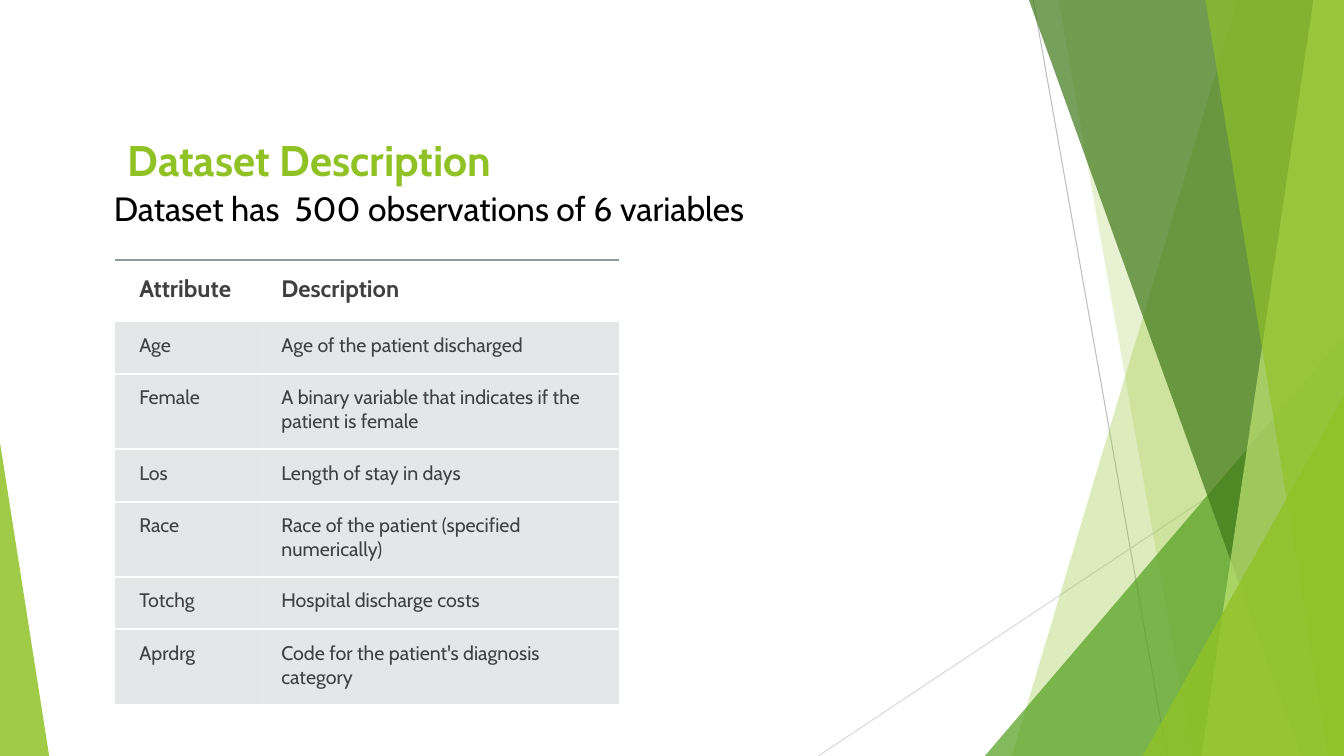
from dataclasses import dataclass

from lxml import etree
from pptx import Presentation
from pptx.dml.color import RGBColor
from pptx.enum.shapes import MSO_CONNECTOR, MSO_SHAPE
from pptx.enum.text import MSO_ANCHOR, PP_ALIGN
from pptx.oxml.ns import qn
from pptx.util import Cm, Pt

STRAIGHT = MSO_CONNECTOR.STRAIGHT
TRIANGLE = MSO_SHAPE.ISOSCELES_TRIANGLE
TOP, BOTTOM = MSO_ANCHOR.TOP, MSO_ANCHOR.BOTTOM
LEFT, CENTER = PP_ALIGN.LEFT, PP_ALIGN.CENTER

WIDTH, HEIGHT = 33.87, 19.05
FONT = "Cabin"
GREEN = "90C226"
WHITE = "FFFFFF"
TEXT_GREY = "404040"
ROW_GREY = "B4BCBE"
RULE_GREY = "8F9A9D"


@dataclass
class Ray:
    x1: float
    y1: float
    x2: float
    y2: float
    color: str


@dataclass
class Band:
    top_x: float
    bottom_x: float
    color: str
    opacity: int


@dataclass
class Wedge:
    left: float
    top: float
    width: float
    apex: float
    color: str
    opacity: int


RAYS = [
    Ray(26.04, 0, 29.41, HEIGHT, "BFBFBF"),
    Ray(WIDTH, 10.24, 20.62, HEIGHT, "D9D9D9"),
]
FACETS = [
    Band(31.19, 25.5, GREEN, 30),
    Band(26.67, 30.05, GREEN, 20),
    Wedge(24.82, 8.46, 9.05, 1, "54A021", 72),
    Band(25.93, 32.79, "3F7819", 70),
    Band(33.1, 30.28, "C0E474", 70),
    Band(30.38, 33.48, GREEN, 65),
    Wedge(28.8, 9.98, 5.07, 1, GREEN, 80),
    Wedge(0, 11.15, 1.24, 0, GREEN, 85),
]
ATTRIBUTES = [
    ("Attribute", "Description"),
    ("Age", "Age of the patient discharged"),
    ("Female", "A binary variable that indicates if the patient is female"),
    ("Los", "Length of stay in days"),
    ("Race", "Race of the patient (specified numerically)"),
    ("Totchg", "Hospital discharge costs"),
    ("Aprdrg", "Code for the patient's diagnosis category"),
]
COLUMN_WIDTHS = [3.58, 9.12]
ROW_HEIGHTS = [1.55] + [1.32, 1.9] * 3


def rgb(color: str) -> RGBColor:
    return RGBColor.from_string(color)


def set_opacity(element, percent: int) -> None:
    shade = next(element.iter(qn("a:srgbClr")))
    etree.SubElement(shade, qn("a:alpha"), val=str(percent * 1000))


def write(frame, text: str, *, size: float, color: str, bold: bool = False,
          align=LEFT) -> None:
    frame.word_wrap = True
    paragraph = frame.paragraphs[0]
    paragraph.alignment = align
    run = paragraph.add_run()
    run.text = text
    run.font.name = FONT
    run.font.size = Pt(size)
    run.font.bold = bold
    run.font.color.rgb = rgb(color)


def add_label(slide, left: float, top: float, width: float, height: float,
              text: str, *, anchor=TOP, inset: float = 0, **style) -> None:
    frame = slide.shapes.add_textbox(Cm(left), Cm(top), Cm(width), Cm(height)).text_frame
    frame.vertical_anchor = anchor
    frame.margin_left = frame.margin_right = frame.margin_bottom = 0
    frame.margin_top = Cm(inset)
    write(frame, text, **style)


def draw_ray(slide, ray: Ray) -> None:
    line = slide.shapes.add_connector(
        STRAIGHT, Cm(ray.x1), Cm(ray.y1), Cm(ray.x2), Cm(ray.y2))
    line.line.color.rgb = rgb(ray.color)
    line.line.width = Pt(0.75)
    etree.SubElement(line._element.spPr, qn("a:effectLst"))


def draw_facet(slide, facet: Band | Wedge) -> None:
    if isinstance(facet, Band):
        outline = slide.shapes.build_freeform(Cm(facet.top_x), 0)
        outline.add_line_segments([
            (Cm(WIDTH), 0), (Cm(WIDTH), Cm(HEIGHT)), (Cm(facet.bottom_x), Cm(HEIGHT))])
        shape = outline.convert_to_shape()
    else:
        shape = slide.shapes.add_shape(
            TRIANGLE, Cm(facet.left), Cm(facet.top),
            Cm(facet.width), Cm(HEIGHT - facet.top))
        shape.adjustments[0] = facet.apex
    shape.shadow.inherit = False
    shape.line.fill.background()
    shape.fill.solid()
    shape.fill.fore_color.rgb = rgb(facet.color)
    set_opacity(shape._element.spPr, facet.opacity)


def set_borders(cell, top: str, top_opacity: int) -> None:
    properties = cell._tc.get_or_add_tcPr()
    edges = [("a:lnL", None, 0), ("a:lnR", None, 0),
             ("a:lnT", top, top_opacity), ("a:lnB", WHITE, 100)]
    for position, (tag, color, opacity) in enumerate(edges):
        edge = etree.Element(qn(tag), w=str(Pt(1.5)))
        if color:
            paint = etree.SubElement(edge, qn("a:solidFill"))
            etree.SubElement(paint, qn("a:srgbClr"), val=color)
            set_opacity(edge, opacity)
        else:
            etree.SubElement(edge, qn("a:noFill"))
        properties.insert(position, edge)


def draw_table(slide, left: float, top: float) -> None:
    table = slide.shapes.add_table(
        len(ATTRIBUTES), len(COLUMN_WIDTHS), Cm(left), Cm(top),
        Cm(sum(COLUMN_WIDTHS)), Cm(sum(ROW_HEIGHTS))).table
    table.first_row = table.horz_banding = False
    for column, width in zip(table.columns, COLUMN_WIDTHS):
        column.width = Cm(width)
    for index, (row, height, texts) in enumerate(zip(table.rows, ROW_HEIGHTS, ATTRIBUTES)):
        row.height = Cm(height)
        header = index == 0
        for cell, text in zip(row.cells, texts):
            cell.margin_left = Cm(0.61)
            cell.margin_top = cell.margin_right = cell.margin_bottom = Cm(
                0.36 if header else 0.3)
            if header:
                cell.fill.background()
                set_borders(cell, RULE_GREY, 60)
            else:
                cell.fill.solid()
                cell.fill.fore_color.rgb = rgb(ROW_GREY)
                set_opacity(cell._tc.tcPr, 35)
                set_borders(cell, WHITE, 100)
            write(cell.text_frame, text, size=17 if header else 14,
                  color=TEXT_GREY, bold=header)


def main() -> None:
    deck = Presentation()
    deck.slide_width, deck.slide_height = Cm(WIDTH), Cm(HEIGHT)
    slide = deck.slides.add_slide(deck.slide_layouts[6])
    for ray in RAYS:
        draw_ray(slide, ray)
    for facet in FACETS:
        draw_facet(slide, facet)
    add_label(slide, 0, 0.48, 15.6, 4.19, "Dataset Description", anchor=BOTTOM,
              size=30.6, color=GREEN, bold=True, align=CENTER)
    add_label(slide, 2.87, 4.6, 20.2, 2.26, "Dataset has  500 observations of 6 variables",
              inset=0.13, size=24, color="000000")
    draw_table(slide, 2.9, 6.55)
    deck.save("out.pptx")


if __name__ == "__main__":
    main()
